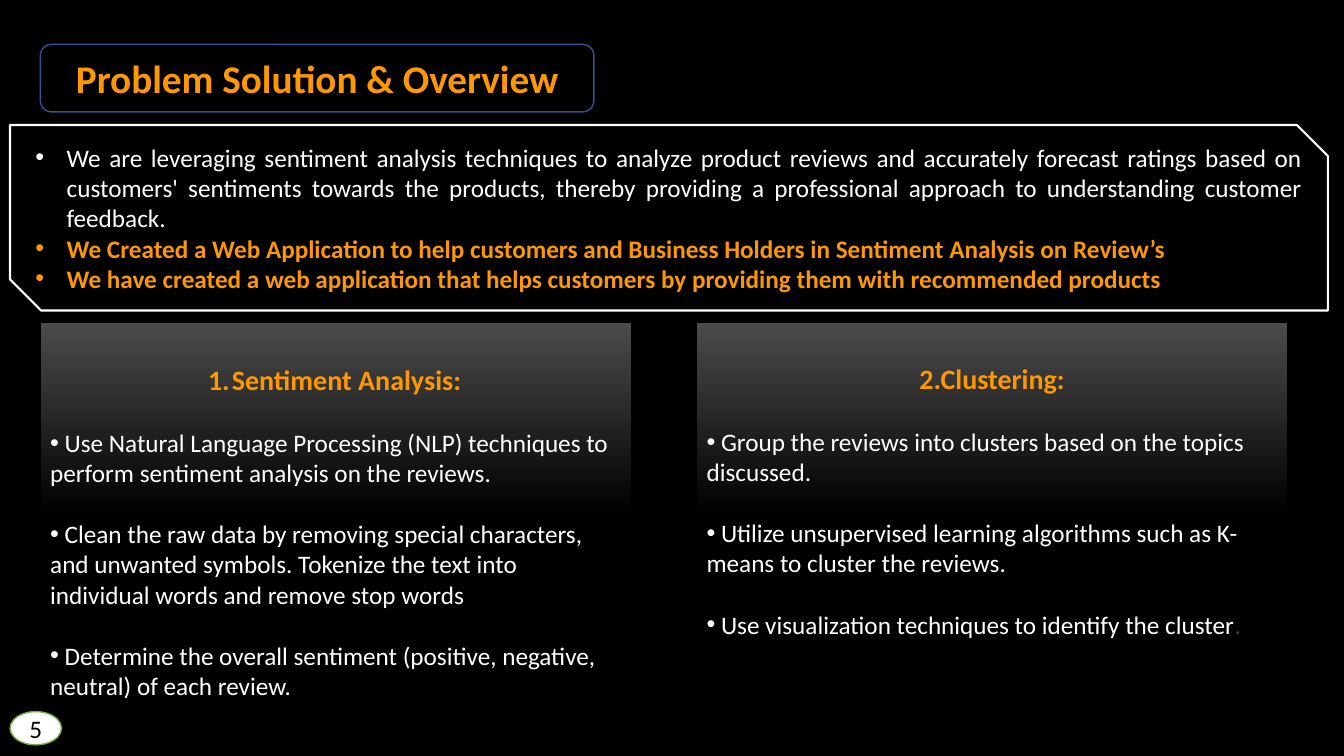
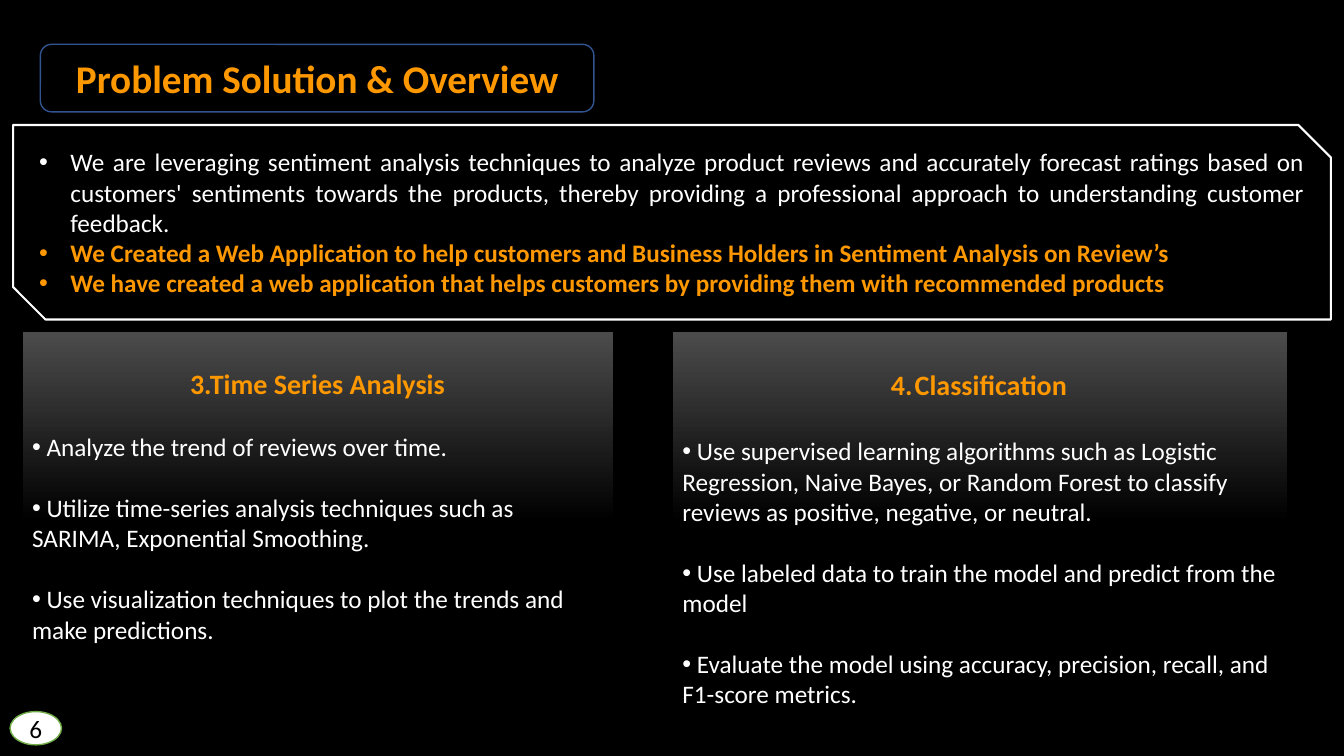
from dataclasses import dataclass

from copy import deepcopy
from lxml import etree
from pptx import Presentation
from pptx.dml.color import RGBColor
from pptx.enum import shapes, text
from pptx.oxml import ns
from pptx.util import Inches, Pt

COLORS = {
    "black": "000000",
    "white": "FFFFFF",
    "accent": "FE9800",
    "title_line": "325491",
    "badge_line": "70AD47",
    "panel_top": "4B4B4B",
    "dim": "374151",
}
FONT = "Calibri"
TITLE = "Problem Solution & Overview"
INTRO = (
    "We are leveraging sentiment analysis techniques to analyze product reviews "
    "and accurately forecast ratings based on customers' sentiments towards the "
    "products, thereby providing a professional approach to understanding "
    "customer feedback.",
    "We Created a Web Application to help customers and Business Holders in "
    "Sentiment Analysis on Review’s",
    "We have created a web application that helps customers by providing them "
    "with recommended products",
)
SHAPE = shapes.MSO_SHAPE
ALIGN = text.PP_ALIGN


@dataclass
class Box:
    left: float
    top: float
    width: float
    height: float


@dataclass
class Panel:
    box: Box
    heading: str
    points: tuple[str, ...]
    inset: float  # distance from panel top to heading
    number: int = 0  # automatic heading number, 0 for none
    heading_gap: float = 22
    dim_ending: str = ""


@dataclass
class Page:
    number: int
    intro_box: Box
    panels: tuple[Panel, ...]


PAGES = (
    Page(5, Box(0.1, 1.24, 13.07, 1.84), (
        Panel(Box(0.4, 3.2, 5.86, 3.86), "Sentiment Analysis:", (
            "Use Natural Language Processing (NLP) techniques to perform "
            "sentiment analysis on the reviews.",
            "Clean the raw data by removing special characters, and unwanted "
            "symbols. Tokenize the text into individual words and remove stop words",
            "Determine the overall sentiment (positive, negative, neutral) of "
            "each review.",
        ), inset=0.4, number=1),
        Panel(Box(6.91, 3.2, 5.86, 3.86), "2.Clustering:", (
            "Group the reviews into clusters based on the topics discussed.",
            "Utilize unsupervised learning algorithms such as K-means to "
            "cluster the reviews.",
            "Use visualization techniques to identify the cluster",
        ), inset=0.39, dim_ending="."),
    )),
    Page(6, Box(0.13, 1.24, 13.07, 1.93), (
        Panel(Box(0.22, 3.29, 5.86, 3.78), "3.Time Series Analysis", (
            "Analyze the trend of reviews over time.",
            "Utilize time-series analysis techniques such as SARIMA, "
            "Exponential Smoothing.",
            "Use visualization techniques to plot the trends and make predictions.",
        ), inset=0.35),
        Panel(Box(6.67, 3.29, 6.1, 3.78), "Classification", (
            "Use supervised learning algorithms such as Logistic Regression, "
            "Naive Bayes, or Random Forest to classify reviews as positive, "
            "negative, or neutral.",
            "Use labeled data to train the model and predict from the model",
            "Evaluate the model using accuracy, precision, recall, and F1-score "
            "metrics.",
        ), inset=0.36, number=4, heading_gap=24.4),
    )),
)


def rgb(name: str) -> RGBColor:
    return RGBColor.from_string(COLORS[name])


def add_box(slide, kind, box: Box, fill: str, line: str, line_width: float):
    shape = slide.shapes.add_shape(
        kind, Inches(box.left), Inches(box.top), Inches(box.width), Inches(box.height))
    shape.shadow.inherit = False
    shape.fill.solid()
    shape.fill.fore_color.rgb = rgb(fill)
    shape.line.color.rgb = rgb(line)
    shape.line.width = Pt(line_width)
    shape.text_frame.word_wrap = True
    return shape


def style(paragraph, size: float, color: str, bold=False, align=ALIGN.CENTER,
          before: float = 0) -> None:
    paragraph.alignment = align
    paragraph.space_before = Pt(before)
    for run in paragraph.runs:
        run.font.name = FONT
        run.font.size = Pt(size)
        run.font.bold = bold
        run.font.color.rgb = rgb(color)


def add_bullet(paragraph, hanging: float = 0) -> None:
    props = paragraph._p.get_or_add_pPr()
    props.set("marL", str(Inches(hanging)))
    props.set("indent", str(-Inches(hanging)))
    etree.SubElement(props, ns.qn("a:buFont")).set("typeface", "Arial")
    etree.SubElement(props, ns.qn("a:buChar")).set("char", "•")


def add_number(paragraph, start: int) -> None:
    number = etree.SubElement(paragraph._p.get_or_add_pPr(), ns.qn("a:buAutoNum"))
    number.set("type", "arabicPeriod")
    number.set("startAt", str(start))


def add_label(slide, kind, box: Box, fill: str, line: str, label: str,
              size: float, color: str, bold: bool) -> None:
    frame = add_box(slide, kind, box, fill, line, 1).text_frame
    frame.text = label
    style(frame.paragraphs[0], size, color, bold)


def add_intro(slide, box: Box) -> None:
    frame = add_box(slide, SHAPE.SNIP_2_DIAG_RECTANGLE, box,
                    "black", "white", 1.5).text_frame
    frame.text = "\n".join(INTRO)
    for index, paragraph in enumerate(frame.paragraphs):
        add_bullet(paragraph, 0.31)
        style(paragraph, 18, "accent" if index else "white", bool(index), ALIGN.JUSTIFY)


def fade_down(shape) -> None:
    shape.fill.gradient()
    shape.fill.gradient_angle = 270
    stops = shape.fill.gradient_stops
    for stop, color, position in zip(stops, ("panel_top", "black"), (0, 0.5)):
        stop.color.rgb = rgb(color)
        stop.position = position
    # Hold black through the lower half
    stop_list = shape._element.spPr.find(".//" + ns.qn("a:gsLst"))
    last_stop = deepcopy(stop_list[-1])
    last_stop.set("pos", "100000")
    stop_list.append(last_stop)


def add_panel(slide, panel: Panel) -> None:
    shape = add_box(slide, SHAPE.RECTANGLE, panel.box, "black", "black", 0.5)
    fade_down(shape)
    frame = shape.text_frame
    frame.vertical_anchor = text.MSO_ANCHOR.TOP
    frame.margin_top = Inches(panel.inset)
    frame.margin_bottom = 0
    frame.text = "\n".join([panel.heading, *(f" {point}" for point in panel.points)])

    heading, *points = frame.paragraphs
    if panel.number:
        add_number(heading, panel.number)
    style(heading, 20, "accent", True)
    for index, point in enumerate(points):
        add_bullet(point)
        style(point, 18, "white", align=ALIGN.LEFT,
              before=22 if index else panel.heading_gap)
    if panel.dim_ending:
        ending = points[-1].add_run()
        ending.text = panel.dim_ending
        ending.font.name = FONT
        ending.font.size = Pt(18)
        ending.font.color.rgb = rgb("dim")


def add_page(deck, page: Page) -> None:
    slide = deck.slides.add_slide(deck.slide_layouts[6])
    slide.background.fill.solid()
    slide.background.fill.fore_color.rgb = rgb("black")
    # Title and introduction
    add_label(slide, SHAPE.ROUNDED_RECTANGLE, Box(0.4, 0.44, 5.49, 0.67),
              "black", "title_line", TITLE, 28, "accent", True)
    add_intro(slide, page.intro_box)
    # Methods
    for panel in page.panels:
        add_panel(slide, panel)
    # Page number
    add_label(slide, SHAPE.OVAL, Box(0.1, 7.06, 0.51, 0.33),
              "white", "badge_line", str(page.number), 18, "black", False)


def main() -> None:
    deck = Presentation()
    deck.slide_width = Inches(13.33)
    deck.slide_height = Inches(7.5)
    for page in PAGES:
        add_page(deck, page)
    deck.save("out.pptx")


if __name__ == "__main__":
    main()
